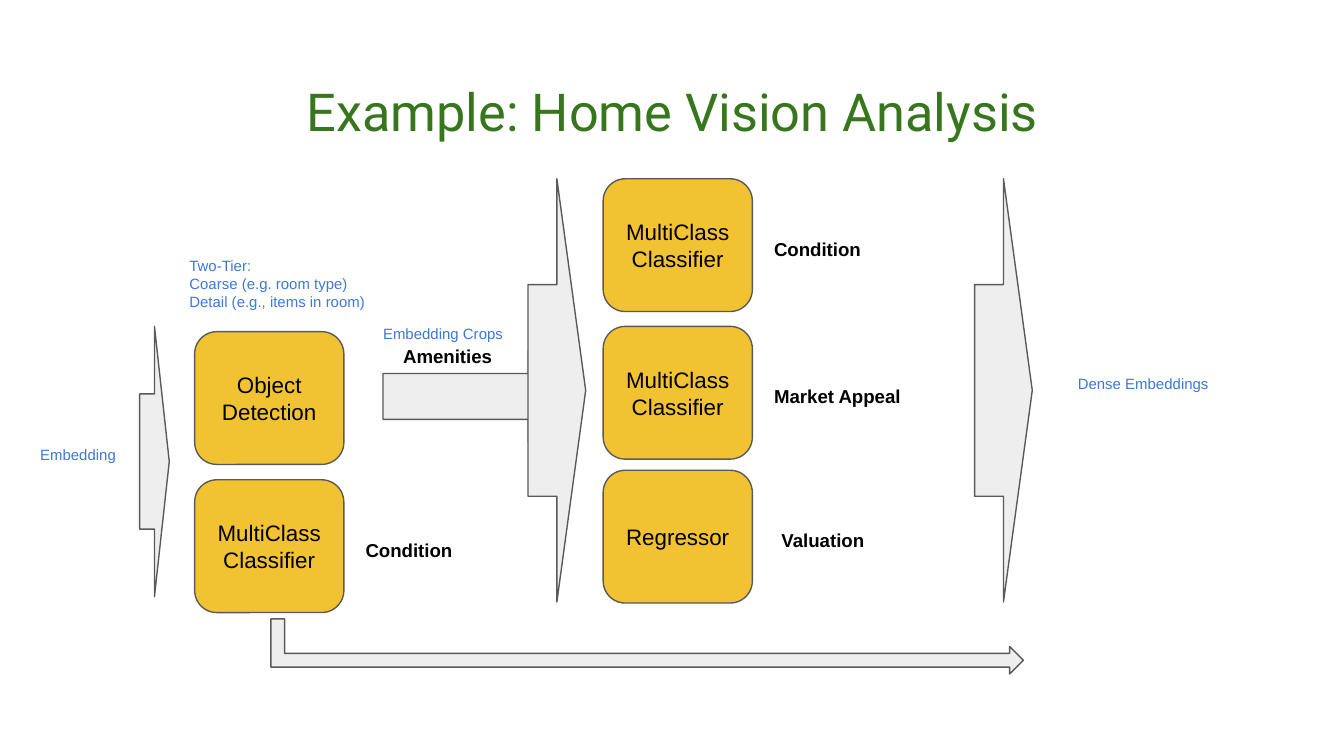
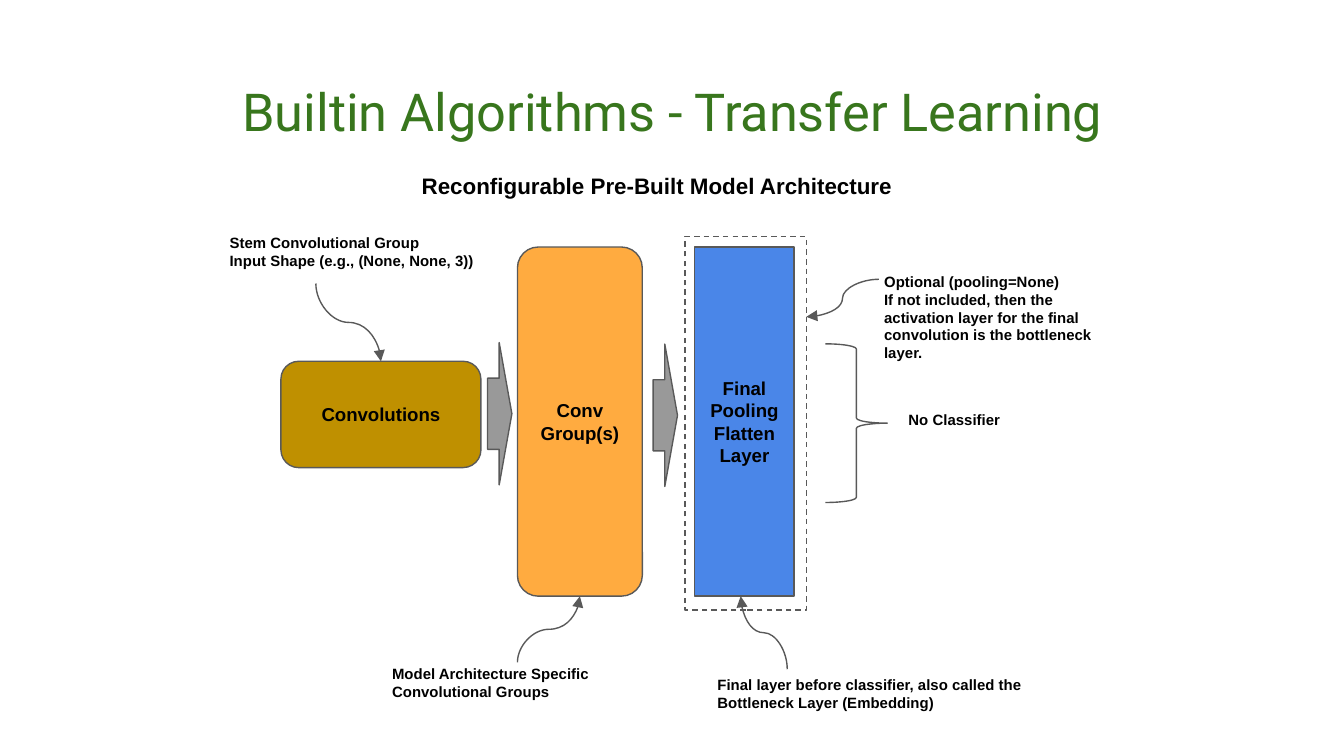
from lxml.etree import SubElement
from pptx import Presentation
from pptx.dml.color import RGBColor
from pptx.enum.dml import MSO_LINE
from pptx.enum.shapes import MSO_CONNECTOR, MSO_SHAPE
from pptx.enum.text import MSO_ANCHOR, MSO_AUTO_SIZE, PP_ALIGN
from pptx.oxml.ns import qn
from pptx.util import Cm, Pt

GREEN = "38761D"
BLACK = "000000"
NOTE_BLUE = "3C78D8"
OUTLINE = "595959"
PALE_GRAY = "EEEEEE"
MID_GRAY = "999999"
GOLD = "F1C232"
DARK_GOLD = "BF9000"
ORANGE = "FFAB40"
BLUE = "4A86E8"

TITLE_BOX = (0.87, 1.24, 23.67, 1.6)
TASK_SIZE = (2.82, 2.51)
INSET = Cm(0.25)


def rgb(color):
    return RGBColor.from_string(color)


def cm(box):
    return [Cm(v) for v in box]


def write(tf, text, size=10, color=BLACK, bold=False, font="Arial",
          align=PP_ALIGN.LEFT, anchor=MSO_ANCHOR.TOP):
    tf.word_wrap = True
    tf.auto_size = MSO_AUTO_SIZE.NONE
    tf.vertical_anchor = anchor
    tf.margin_left = tf.margin_right = tf.margin_top = tf.margin_bottom = INSET
    for i, line in enumerate(text.split("\n")):
        p = tf.add_paragraph() if i else tf.paragraphs[0]
        p.alignment = align
        r = p.add_run()
        r.text = line
        r.font.name = font
        r.font.size = Pt(size)
        r.font.bold = bold
        r.font.color.rgb = rgb(color)


def titled_slide(prs, title):
    s = prs.slides.add_slide(prs.slide_layouts[5])
    sp = s.shapes.title
    sp.left, sp.top, sp.width, sp.height = cm(TITLE_BOX)
    write(sp.text_frame, title, size=28, color=GREEN, font="Roboto",
          align=PP_ALIGN.CENTER)
    return s


def label(s, box, text, **fmt):
    write(s.shapes.add_textbox(*cm(box)).text_frame, text, **fmt)


def outline(line):
    line.color.rgb = rgb(OUTLINE)
    line.width = Pt(0.75)


def shape(s, kind, box, fill=None, text=None, rotation=0, adjust=(), **fmt):
    """Add an outlined preset shape; without a fill it is see-through."""
    sp = s.shapes.add_shape(kind, *cm(box))
    sp.shadow.inherit = False
    sp.rotation = rotation
    for i, value in enumerate(adjust):
        sp.adjustments[i] = value
    if fill:
        sp.fill.solid()
        sp.fill.fore_color.rgb = rgb(fill)
    else:
        sp.fill.background()
    outline(sp.line)
    if text:
        write(sp.text_frame, text, align=PP_ALIGN.CENTER,
              anchor=MSO_ANCHOR.MIDDLE, **fmt)
    return sp


def task(s, x, y, text, outcome=None, gap=2.98):
    """Add a model box with the bold name of its outcome to the right."""
    shape(s, MSO_SHAPE.ROUNDED_RECTANGLE, (x, y, *TASK_SIZE), GOLD, text, size=12)
    if outcome:
        label(s, (x + gap, y + 0.86, 2.92, 0.79), outcome, bold=True)


def curved_arrow(s, start, end, upright=True):
    """Add an S-curve; an upright one leaves and arrives vertically."""
    (x1, y1), (x2, y2) = start, end
    dx, dy = x2 - x1, y2 - y1
    if upright:
        # The box is laid on its side about the midpoint, then turned.
        mx, my = (x1 + x2) / 2, (y1 + y2) / 2
        half_w, half_h = abs(dy) / 2, abs(dx) / 2
        if dx * dy > 0:
            half_w = -half_w
        ends = (mx - half_w, my - half_h, mx + half_w, my + half_h)
    else:
        ends = (x1, y1, x2, y2)
    c = s.shapes.add_connector(MSO_CONNECTOR.CURVE, *cm(ends))
    outline(c.line)
    props = c._element.spPr
    if upright:
        props.find(qn("a:xfrm")).set("rot", str((270 if dx > 0 else 90) * 60000))
    SubElement(props.find(qn("a:ln")), qn("a:tailEnd"), type="triangle")
    SubElement(props, qn("a:effectLst"))


def home_vision(prs):
    s = titled_slide(prs, "Example: Home Vision Analysis")
    for box in ((7.24, 6.63, 3.61, 1.73), (2.64, 6.17, 0.56, 5.11),
                (9.98, 3.38, 1.09, 8), (18.42, 3.38, 1.09, 8)):
        shape(s, MSO_SHAPE.RIGHT_ARROW, box, PALE_GRAY)
    shape(s, MSO_SHAPE.BENT_UP_ARROW, (11.71, 5.11, 1.04, 14.22), PALE_GRAY,
          rotation=90)

    classifier = "MultiClass\nClassifier"
    task(s, 3.68, 6.27, "Object\nDetection")
    task(s, 3.68, 9.07, classifier, "Condition")
    task(s, 11.4, 3.38, classifier, "Condition")
    task(s, 11.4, 6.17, classifier, "Market Appeal")
    task(s, 11.4, 8.89, "Regressor", "Valuation", gap=3.12)
    label(s, (7.37, 6.27, 2.36, 0.79), "Amenities", bold=True)

    for box, text in (
        ((3.33, 4.6, 4.06, 1.6),
         "Two-Tier:\nCoarse (e.g. room type)\nDetail (e.g., items in room)"),
        ((6.99, 5.89, 2.85, 0.66), "Embedding Crops"),
        ((20.12, 6.83, 3.61, 1.14), "Dense Embeddings"),
        ((0.51, 8.18, 2.54, 1.14), "Embedding"),
    ):
        label(s, box, text, size=8, color=NOTE_BLUE)


def transfer_learning(prs):
    s = titled_slide(prs, "Builtin Algorithms - Transfer Learning")
    label(s, (7.72, 3, 9.6, 1.09), "Reconfigurable Pre-Built Model Architecture",
          size=12, bold=True)

    for kind, box, fill, text in (
        (MSO_SHAPE.ROUNDED_RECTANGLE, (5.31, 6.83, 3.78, 2.01), DARK_GOLD,
         "Convolutions"),
        (MSO_SHAPE.ROUNDED_RECTANGLE, (9.78, 4.67, 2.36, 6.6), ORANGE,
         "Conv Group(s)"),
        (MSO_SHAPE.RECTANGLE, (13.13, 4.67, 1.88, 6.6), BLUE,
         "Final\nPooling\nFlatten\nLayer"),
    ):
        shape(s, kind, box, fill, text, bold=True)
    for x, y in ((8.1, 7.59), (11.23, 7.62)):
        shape(s, MSO_SHAPE.DOWN_ARROW, (x, y, 2.69, 0.46), MID_GRAY,
              rotation=270, adjust=(0.5, 0.52))
    frame = shape(s, MSO_SHAPE.RECTANGLE, (12.95, 4.47, 2.29, 7.06))
    frame.line.dash_style = MSO_LINE.DASH
    shape(s, MSO_SHAPE.RIGHT_BRACE, (15.6, 6.5, 1.17, 3))

    for box, text in (
        ((4.09, 4.17, 5.69, 1.24),
         "Stem Convolutional Group\nInput Shape (e.g., (None, None, 3))"),
        ((7.16, 12.32, 4.85, 0.79),
         "Model Architecture Specific Convolutional Groups"),
        ((16.92, 7.52, 2.69, 0.79), "No Classifier"),
        ((13.31, 12.52, 7.06, 1.09),
         "Final layer before classifier, also called the "
         "Bottleneck Layer (Embedding)"),
        ((16.46, 4.9, 4.85, 1.9),
         "Optional (pooling=None)\nIf not included, then the activation layer "
         "for the final convolution is the bottleneck layer."),
    ):
        label(s, box, text, size=8, bold=True)

    curved_arrow(s, (5.97, 5.36), (7.2, 6.83))
    curved_arrow(s, (9.78, 12.52), (10.96, 11.27))
    curved_arrow(s, (14.88, 12.65), (14, 11.27))
    curved_arrow(s, (16.61, 5.28), (15.24, 5.99), upright=False)


def main():
    prs = Presentation()
    prs.slide_width, prs.slide_height = Cm(25.4), Cm(14.29)
    home_vision(prs)
    transfer_learning(prs)
    prs.save("out.pptx")


if __name__ == "__main__":
    main()
